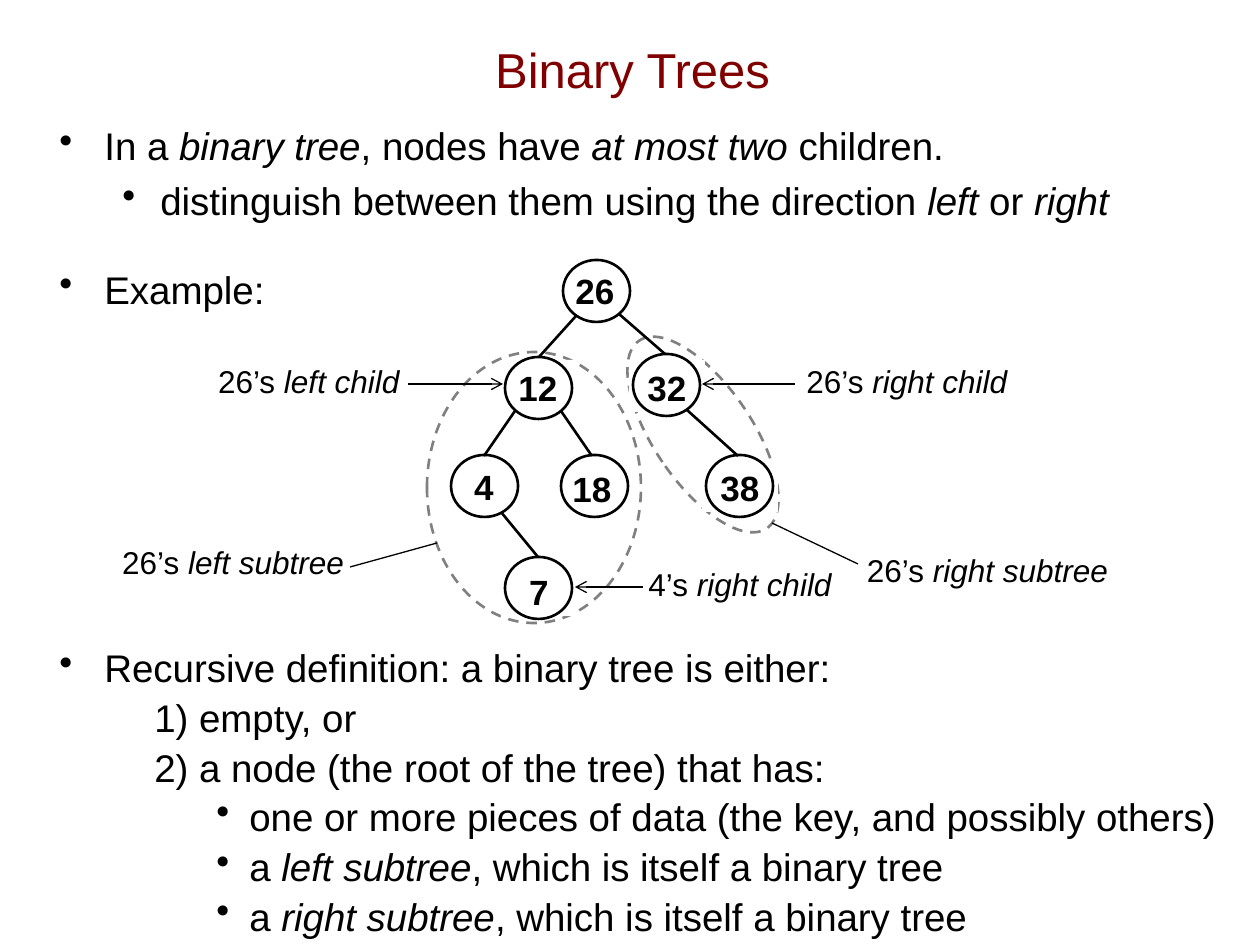
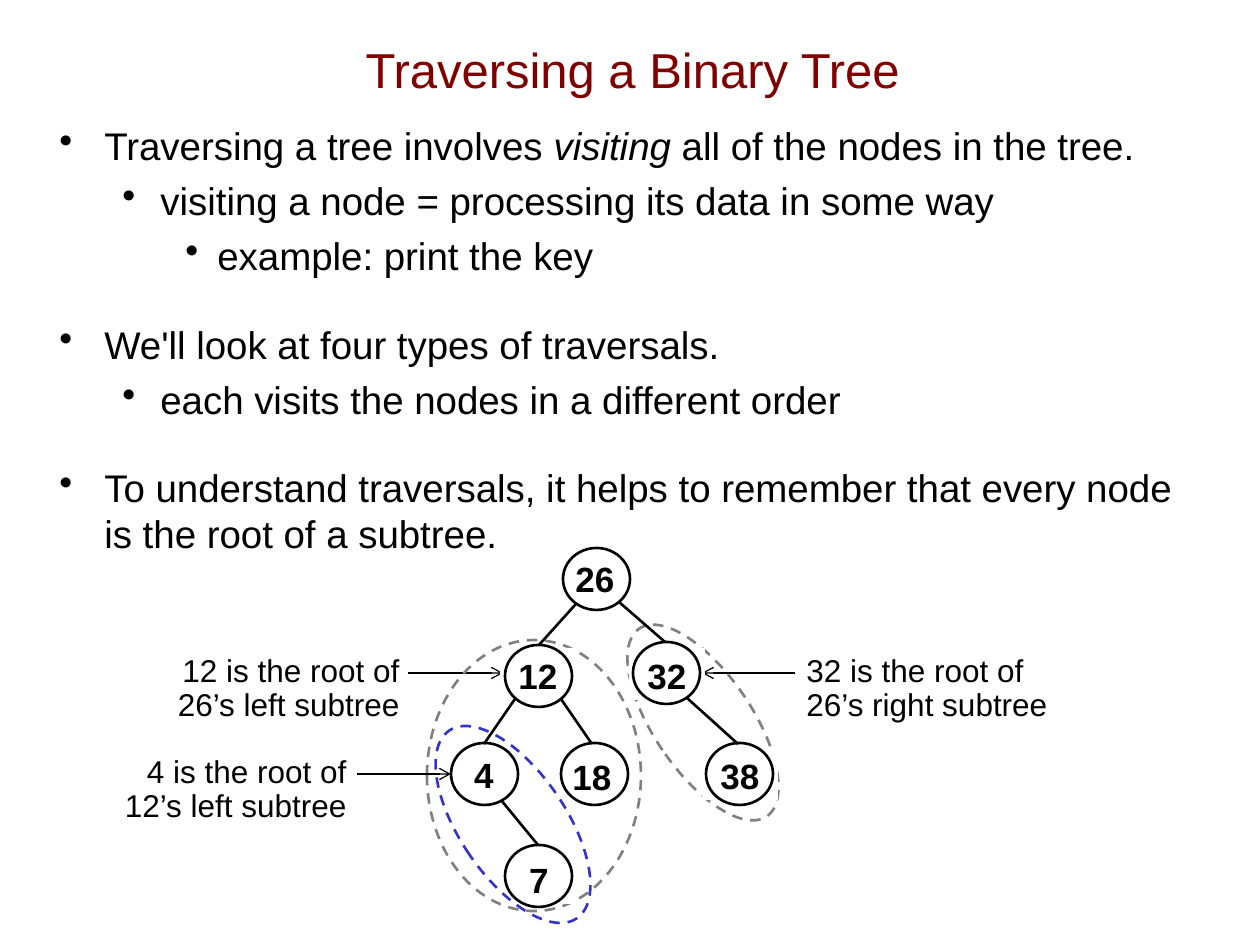
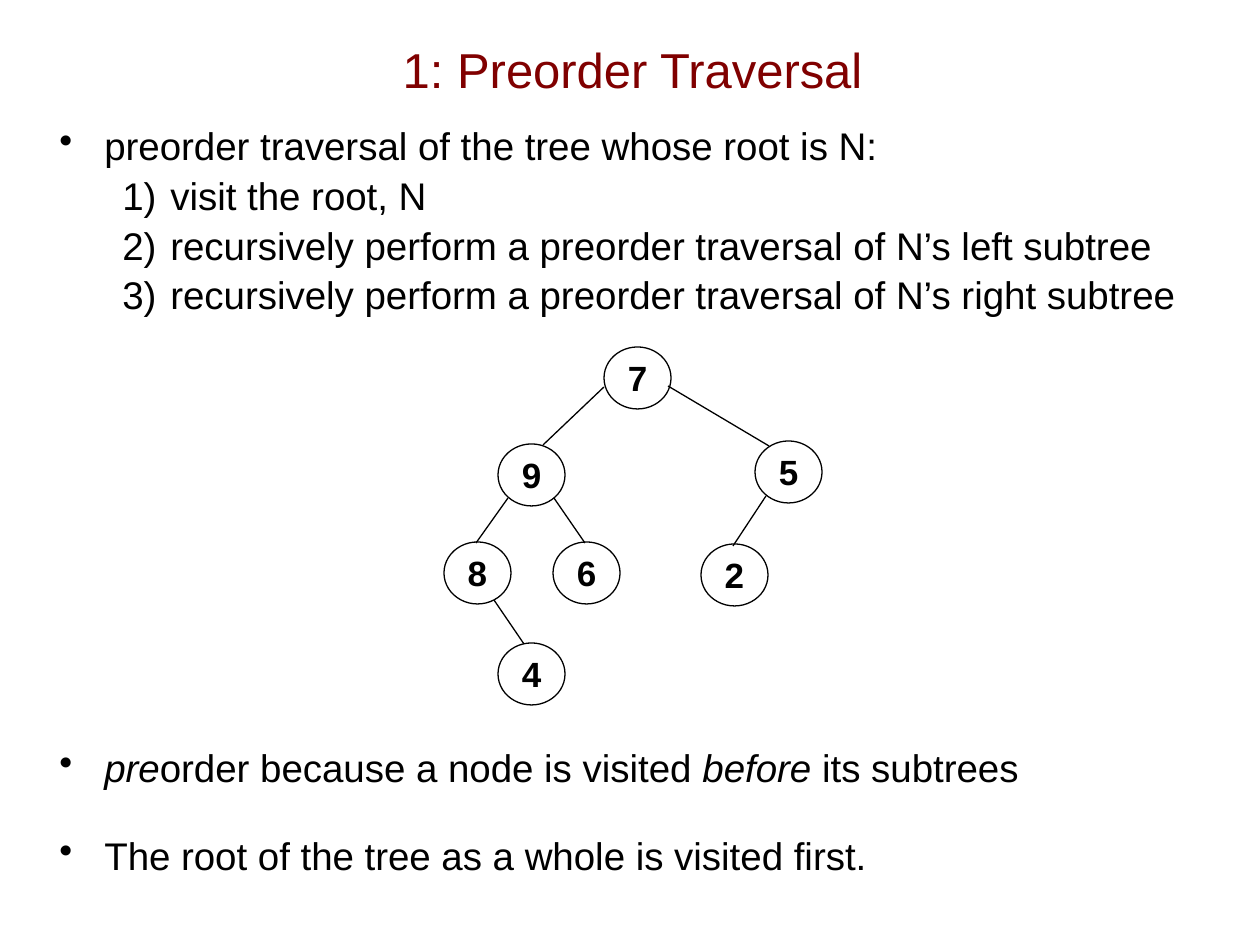
import lxml.etree
import pptx
import pptx.dml.color
import pptx.enum.dml
import pptx.enum.shapes
import pptx.enum.text
import pptx.oxml.ns
import pptx.util

SCALE = pptx.util.Inches(1) / 126
FONT = "Arial"
BLACK = pptx.dml.color.RGBColor(0x00, 0x00, 0x00)
WHITE = pptx.dml.color.RGBColor(0xFF, 0xFF, 0xFF)
MAROON = pptx.dml.color.RGBColor(0x80, 0x00, 0x00)
GRAY = pptx.dml.color.RGBColor(0x80, 0x80, 0x80)
BLUE = pptx.dml.color.RGBColor(0x33, 0x33, 0xCC)
ALIGN = pptx.enum.text.PP_ALIGN
ANCHOR = pptx.enum.text.MSO_ANCHOR
SHAPE = pptx.enum.shapes.MSO_SHAPE
NODE = (67, 62)
TAG = (76, 52)
TILT = 325.8

# level, margin px, hanging px, points before, bullet
STYLES = {
    "top": (0, 45, 45, 24, True),
    "sub": (1, 101, 38, 5.2, True),
    "third": (2, 158, 32, 5, True),
    "step": (1, 111, 48, 2, False),
    "case": (2, 190, 95, 2, False),
    "part": (3, 190, 33, 2, True),
}

# key, node left and top, tag left and top
TREE = [
    ("26", 563, 260, 557, 263),
    ("12", 505, 357, 500, 360),
    ("32", 633, 354, 629, 360),
    ("4", 451, 455, 446, 459),
    ("18", 561, 455, 554, 461),
    ("38", 706, 455, 702, 460),
    ("7", 505, 557, 501, 564),
]
EDGES = [
    (576, 316, 539, 357), (619, 314, 665, 354), (515, 411, 484, 456),
    (561, 411, 592, 456), (687, 410, 738, 456), (501, 512, 538, 557),
]
ORDER = [
    ("7", 604, 347), ("9", 498, 444), ("8", 444, 542), ("6", 553, 542),
    ("4", 498, 643), ("5", 755, 441), ("2", 701, 544),
]
LINKS = [
    (604, 387, 543, 445), (668, 386, 769, 446), (508, 498, 476, 543),
    (554, 498, 585, 543), (494, 600, 524, 644), (766, 496, 733, 546),
]


def emu(*sizes):
    """Turn px lengths into EMU."""
    return [pptx.util.Emu(round(size * SCALE)) for size in sizes]


def style(run, size, color=BLACK, bold=False, italic=False):
    """Set the font of one run."""
    run.font.name = FONT
    run.font.size = pptx.util.Pt(size)
    run.font.color.rgb = color
    run.font.bold = bold
    run.font.italic = italic


def write(para, text, size):
    """Fill a paragraph, with *stars* for italics and line feeds for breaks."""
    for row, line in enumerate(text.split("\n")):
        if row:
            para.add_line_break()
        for pos, part in enumerate(line.split("*")):
            if part:
                run = para.add_run()
                run.text = part
                style(run, size, italic=pos % 2 == 1)


def add_page(deck, title):
    """Add a slide with its formatted title."""
    page = deck.slides.add_slide(deck.slide_layouts[5])
    head = page.shapes.title
    head.left, head.top, head.width, head.height = emu(54, 10, 1157, 117)
    frame = head.text_frame
    frame.text = title
    frame.vertical_anchor = ANCHOR.MIDDLE
    frame.paragraphs[0].alignment = ALIGN.CENTER
    style(frame.paragraphs[0].runs[0], 28, MAROON)
    return page


def add_body(page, top, high, items, wide=1169):
    """Add a block of outline text."""
    frame = page.shapes.add_textbox(*emu(47, top, wide, high)).text_frame
    frame.word_wrap = True
    for pos, (kind, text) in enumerate(items):
        para = frame.add_paragraph() if pos else frame.paragraphs[0]
        level, margin, hang, before, bullet = STYLES[kind]
        para.level = level
        para.space_before = pptx.util.Pt(before)
        write(para, text, 22)
        props = para._p.get_or_add_pPr()
        left, first = emu(margin, -hang)
        props.set("marL", str(left))
        props.set("indent", str(first))
        if bullet:
            mark = lxml.etree.SubElement(props, pptx.oxml.ns.qn("a:buChar"))
            mark.set("char", "•")


def add_label(page, box, text, align=ALIGN.LEFT):
    """Add a caption beside the tree."""
    frame = page.shapes.add_textbox(*emu(*box)).text_frame
    frame.word_wrap = False
    frame.auto_size = pptx.enum.text.MSO_AUTO_SIZE.SHAPE_TO_FIT_TEXT
    para = frame.paragraphs[0]
    para.alignment = align
    para.line_spacing = 0.9
    write(para, text, 18)


def add_oval(page, box, color=BLACK, weight=1.5, dash=False, turn=0):
    """Add an unfilled ellipse."""
    oval = page.shapes.add_shape(SHAPE.OVAL, *emu(*box))
    oval.shadow.inherit = False
    oval.fill.background()
    oval.line.color.rgb = color
    oval.line.width = pptx.util.Pt(weight)
    if dash:
        oval.line.dash_style = pptx.enum.dml.MSO_LINE.DASH
    oval.rotation = turn
    return oval


def add_key(shape, text, anchor):
    """Write a bold centred key in a shape."""
    frame = shape.text_frame
    frame.text = text
    frame.word_wrap = False
    frame.vertical_anchor = anchor
    frame.paragraphs[0].alignment = ALIGN.CENTER
    style(frame.paragraphs[0].runs[0], 20, bold=True)


def add_tag(page, left, top, text):
    """Add a white tag that holds a key."""
    tag = page.shapes.add_shape(SHAPE.RECTANGLE, *emu(left, top, *TAG))
    tag.shadow.inherit = False
    tag.fill.solid()
    tag.fill.fore_color.rgb = WHITE
    tag.line.fill.background()
    add_key(tag, text, ANCHOR.TOP)


def add_line(page, ends, weight=0.75, arrow=False):
    """Add a straight line, with an arrowhead at its end if asked."""
    kind = pptx.enum.shapes.MSO_CONNECTOR.STRAIGHT
    line = page.shapes.add_connector(kind, *emu(*ends))
    line.line.color.rgb = BLACK
    line.line.width = pptx.util.Pt(weight)
    qn = pptx.oxml.ns.qn
    props = line.element.spPr
    if arrow:
        tip = lxml.etree.SubElement(props.find(qn("a:ln")), qn("a:tailEnd"))
        tip.set("type", "arrow")
    lxml.etree.SubElement(props, qn("a:effectLst"))


def add_rings(page, drop=0):
    """Ring the two subtrees of the root."""
    add_oval(page, (427, 352 + drop, 214, 271), GRAY, dash=True)
    add_oval(page, (654, 321 + drop, 98, 227), GRAY, dash=True, turn=TILT)


def add_tree(page, drop=0):
    """Draw the tree of 26, moved down by drop."""
    for text, left, top, side, head in TREE:
        add_tag(page, side, head + drop, text)
        add_oval(page, (left, top + drop, *NODE))
    for x1, y1, x2, y2 in EDGES:
        add_line(page, (x1, y1 + drop, x2, y2 + drop), 1.5)


def show_binary(deck):
    """Build the slide that defines binary trees."""
    page = add_page(deck, "Binary Trees")
    add_body(page, 116, 210, [
        ("top", "In a *binary tree*, nodes have *at most two* children."),
        ("sub", "distinguish between them using the direction *left* or *right*"),
        ("top", "Example:"),
    ], 1213)
    add_body(page, 638, 307, [
        ("top", "Recursive definition: a binary tree is either:"),
        ("case", "1) empty, or"),
        ("case", "2) a node (the root of the tree) that has:"),
        ("part", "one or more pieces of data (the key, and possibly others)"),
        ("part", "a *left subtree*, which is itself a binary tree"),
        ("part", "a *right subtree*, which is itself a binary tree"),
    ], 1213)
    add_label(page, (794, 360, 236, 47), "26’s* right child*")
    add_label(page, (204, 360, 208, 47), "26’s* left child*", ALIGN.RIGHT)
    add_label(page, (109, 541, 248, 47), "26’s *left subtree*", ALIGN.CENTER)
    add_label(page, (854, 549, 267, 47), "26’s *right subtree*", ALIGN.CENTER)
    add_rings(page)
    add_line(page, (350, 567, 437, 543))
    add_line(page, (772, 523, 858, 564))
    add_tree(page)
    add_label(page, (636, 563, 219, 47), "4’s* right child*")
    for ends in [(795, 384, 702, 384), (408, 384, 503, 384), (643, 587, 575, 587)]:
        add_line(page, ends, arrow=True)


def show_visit(deck):
    """Build the slide that introduces traversals."""
    page = add_page(deck, "Traversing a Binary Tree")
    add_body(page, 116, 774, [
        ("top", "Traversing a tree involves *visiting* all of the nodes in the tree."),
        ("sub", "visiting a node = processing its data in some way"),
        ("third", "example: print the key"),
        ("top", "We'll look at four types of traversals."),
        ("sub", "each visits the nodes in a different order"),
        ("top", "To understand traversals, it helps to remember that every node "
                "is the root of a subtree."),
    ])
    add_label(page, (794, 649, 267, 81), "32 is the root of\n26’s right subtree")
    add_label(page, (164, 649, 248, 81),
              "12 is the root of\n26’s left subtree", ALIGN.RIGHT)
    add_label(page, (112, 750, 247, 81),
              "4 is the root of\n12’s left subtree", ALIGN.RIGHT)
    add_line(page, (795, 673, 702, 673), arrow=True)
    add_line(page, (408, 673, 503, 673), arrow=True)
    add_rings(page, 288)
    add_tree(page, 288)
    add_line(page, (357, 774, 451, 774), arrow=True)
    add_oval(page, (460, 711, 106, 227), BLUE, dash=True, turn=TILT)


def show_order(deck):
    """Build the slide on preorder traversal."""
    page = add_page(deck, "1: Preorder Traversal")
    add_body(page, 116, 215, [
        ("top", "preorder traversal of the tree whose root is N:"),
        ("step", "1)\tvisit the root, N"),
        ("step", "2)\trecursively perform a preorder traversal of N’s left subtree"),
        ("step", "3)\trecursively perform a preorder traversal of N’s right subtree"),
    ])
    add_body(page, 738, 150, [
        ("top", "*pre*order because a node is visited *before* its subtrees"),
        ("top", "The root of the tree as a whole is visited first."),
    ])
    for text, left, top in ORDER:
        add_key(add_oval(page, (left, top, *NODE), weight=0.75), text, ANCHOR.MIDDLE)
    for ends in LINKS:
        add_line(page, ends)


def main():
    """Build and save the deck."""
    deck = pptx.Presentation()
    deck.slide_width, deck.slide_height = emu(1260, 945)
    show_binary(deck)
    show_visit(deck)
    show_order(deck)
    deck.save("out.pptx")


if __name__ == "__main__":
    main()
